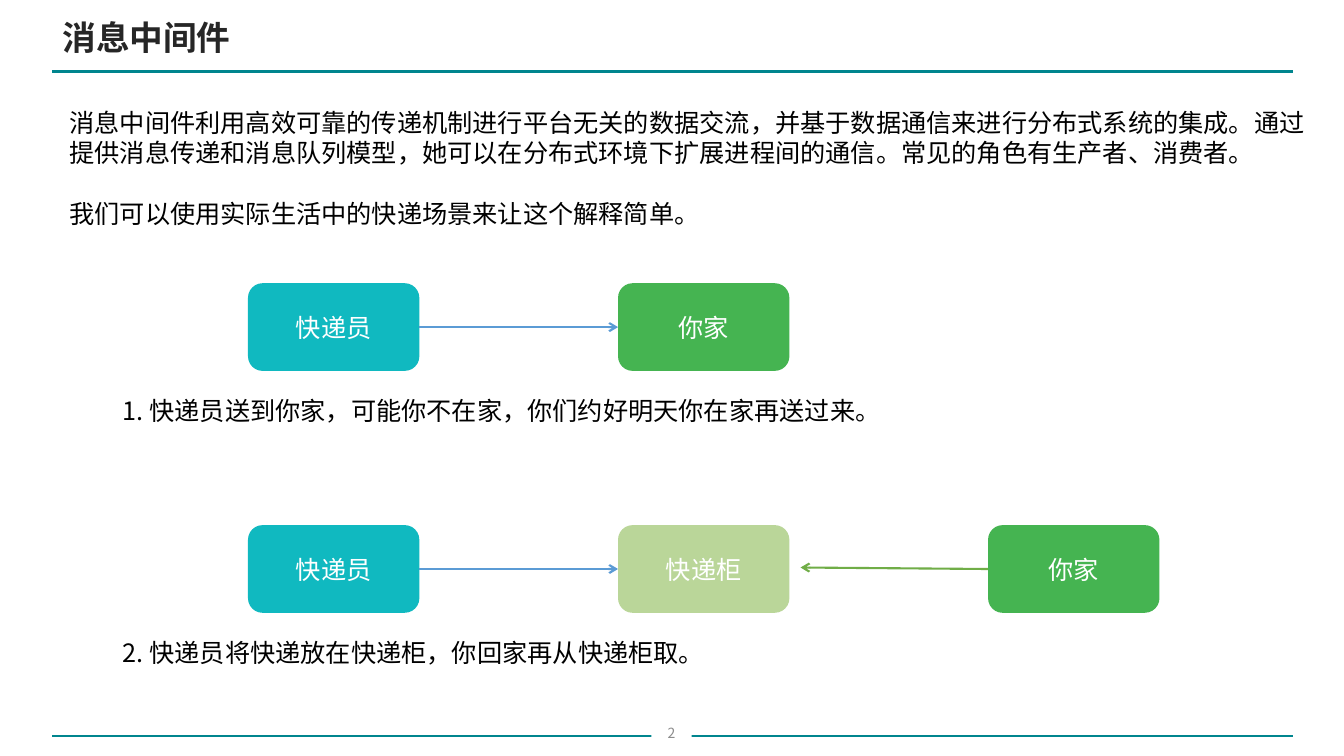
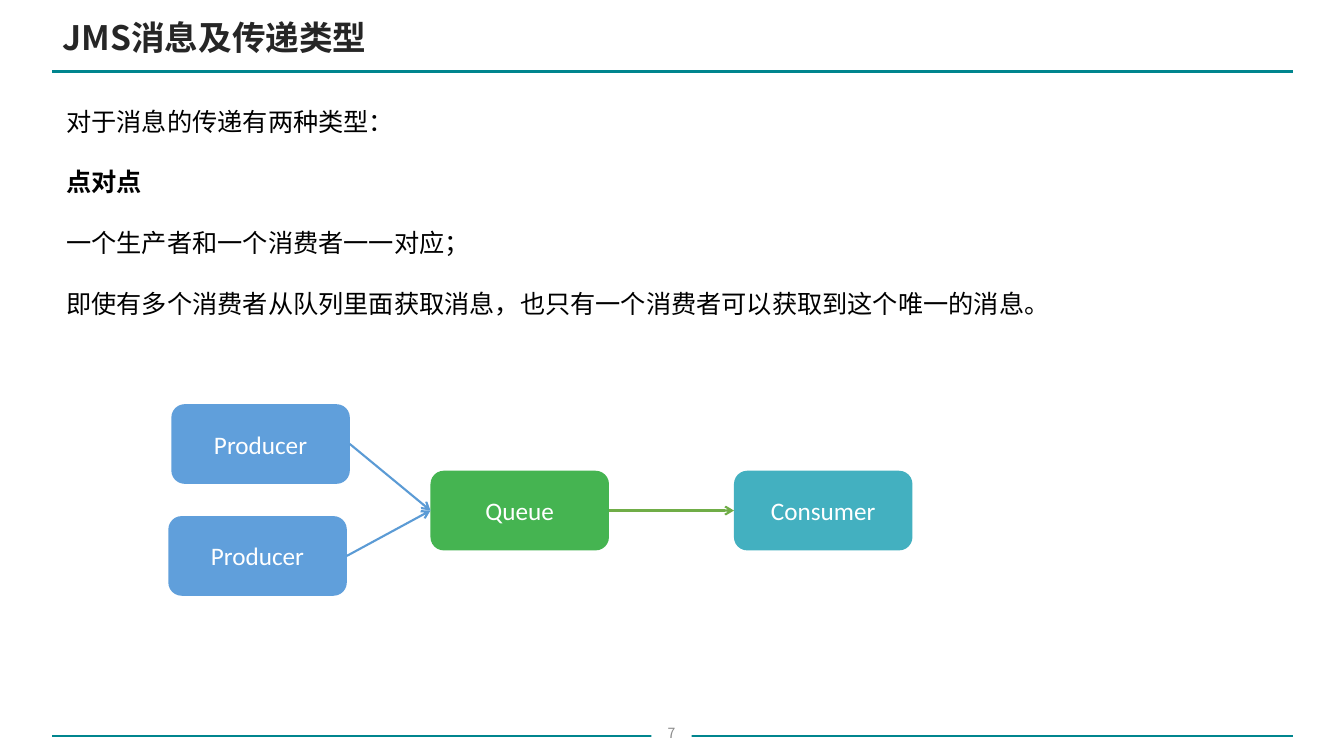
from pptx import Presentation
from pptx.dml.color import RGBColor
from pptx.enum.shapes import MSO_CONNECTOR, MSO_SHAPE
from pptx.enum.text import MSO_ANCHOR, MSO_AUTO_SIZE, PP_ALIGN
from pptx.oxml.ns import qn
from pptx.util import Inches, Pt
from lxml.etree import SubElement

CJK, LATIN = "Noto Sans CJK SC", "Calibri"
TEAL, CYAN, GREEN, LIME = "00858E", "10B9C0", "45B451", "BAD699"
SKY, AQUA = "609FDB", "43B0C0"
BLUE, LEAF = "5B9BD5", "70AD47"
WHITE, BLACK, DARK, GREY = "FFFFFF", "000000", "262626", "8C8C8C"
PITCH = Pt(21.7)
LEFT, RIGHT = 1, 3  # connection sites of a box


def rgb(code):
    return RGBColor.from_string(code)


class Deck:
    def __init__(self):
        self.prs = Presentation()
        self.prs.slide_width = Inches(13.33)
        self.prs.slide_height = Inches(7.5)
        self.layout = self.prs.slide_layouts.get_by_name("Title Only")
        self.slide = None

    def page(self, title, number):
        first = self.slide is None
        self.slide = self.prs.slides.add_slide(self.layout)
        if first:
            self.bands()
        head = self.slide.shapes.title
        self.place(head, 0.51, 0.11, 10.77, 0.51)
        frame = head.text_frame
        frame.text = title
        frame.auto_size = MSO_AUTO_SIZE.NONE
        frame.vertical_anchor = MSO_ANCHOR.MIDDLE
        frame.margin_left = frame.margin_right = Inches(0.11)
        self.style(frame, 24, DARK, CJK, PP_ALIGN.LEFT, True)
        self.box(6.46, 7.05, 0.4, 0.45, number, WHITE, GREY, 10, CJK,
                 MSO_SHAPE.RECTANGLE)

    def bands(self):
        """Draw the two rules and move them to the shared layout."""
        for y, width in ((0.71, 2), (7.3, 1)):
            rule = self.line((0.52, y), (12.82, y), TEAL, width)
            self.layout.shapes.element.append(rule.element)

    def place(self, shape, x, y, w, h):
        shape.left, shape.top = Inches(x), Inches(y)
        shape.width, shape.height = Inches(w), Inches(h)

    def style(self, frame, size, color, face, align, bold=False):
        for para in frame.paragraphs:
            para.alignment = align
            for run in para.runs:
                font = run.font
                font.size, font.bold, font.name = Pt(size), bold, face
                font.color.rgb = rgb(color)
                SubElement(font._element, qn("a:ea")).set("typeface", CJK)

    def text(self, x, y, w, h, *paras):
        """Add body text with one line of space between paragraphs."""
        shape = self.slide.shapes.add_textbox(
            Inches(x), Inches(y), Inches(w), Inches(h))
        frame = shape.text_frame
        frame.text = "\n".join(paras)
        frame.word_wrap = False
        frame.margin_top = Inches(0.07)
        for i, para in enumerate(frame.paragraphs):
            para.line_spacing = PITCH
            para.space_before = PITCH if i else Pt(0)
        self.style(frame, 18, BLACK, CJK, PP_ALIGN.LEFT)
        return frame

    def box(self, x, y, w, h, label, fill, color=WHITE, size=18, face=LATIN,
            kind=MSO_SHAPE.ROUNDED_RECTANGLE):
        shape = self.slide.shapes.add_shape(
            kind, Inches(x), Inches(y), Inches(w), Inches(h))
        shape.shadow.inherit = False
        shape.fill.solid()
        shape.fill.fore_color.rgb = rgb(fill)
        shape.line.fill.background()
        frame = shape.text_frame
        frame.text = label
        frame.vertical_anchor = MSO_ANCHOR.MIDDLE
        self.style(frame, size, color, face, PP_ALIGN.CENTER)
        return shape

    def line(self, start, end, color, width):
        points = [Inches(v) for v in (*start, *end)]
        line = self.slide.shapes.add_connector(MSO_CONNECTOR.STRAIGHT, *points)
        line.line.color.rgb = rgb(color)
        line.line.width = Pt(width)
        SubElement(line.element.spPr, qn("a:effectLst"))
        return line

    def arrow(self, source, site, target, color):
        """Point from a box to another box's left side or to a free point."""
        free = isinstance(target, tuple)
        line = self.line((0, 0), target if free else (0, 0), color, 1.5)
        line.begin_connect(source, site)
        if not free:
            line.end_connect(target, LEFT)
        SubElement(line.line._get_or_add_ln(), qn("a:tailEnd")).set("type", "arrow")


def courier(deck):
    deck.page("消息中间件", "2")
    deck.text(
        0.59, 0.99, 12.45, 1.31,
        "消息中间件利用高效可靠的传递机制进行平台无关的数据交流，并基于数据通信来进行分布式系统的集成。通过\v"
        "提供消息传递和消息队列模型，她可以在分布式环境下扩展进程间的通信。常见的角色有生产者、消费者。",
        "我们可以使用实际生活中的快递场景来让这个解释简单。")
    rows = (
        (2.81, [("快递员", CYAN), ("你家", GREEN)], 7.73,
         "1. 快递员送到你家，可能你不在家，你们约好明天你在家再送过来。"),
        (5.21, [("快递员", CYAN), ("快递柜", LIME), ("你家", GREEN)], 5.98,
         "2. 快递员将快递放在快递柜，你回家再从快递柜取。"),
    )
    for top, steps, width, note in rows:
        boxes = [deck.box(2.46 + 3.67 * i, top, 1.7, 0.87, *step)
                 for i, step in enumerate(steps)]
        deck.arrow(boxes[0], RIGHT, boxes[1], BLUE)
        deck.text(1.12, top + 1.04, width, 0.4, note)
    deck.arrow(boxes[2], LEFT, (7.94, 5.63), LEAF)


def queue(deck):
    deck.page("JMS消息及传递类型", "7")
    body = deck.text(
        0.56, 0.98, 9.95, 2.52,
        "对于消息的传递有两种类型：", "点对点", "一个生产者和一个消费者一一对应；",
        "即使有多个消费者从队列里面获取消息，也只有一个消费者可以获取到这个唯一的消息。")
    body.paragraphs[1].runs[0].font.bold = True
    nodes = ((1.7, 4.01, "Producer", SKY), (1.67, 5.12, "Producer", SKY),
             (4.27, 4.67, "Queue", GREEN), (7.28, 4.67, "Consumer", AQUA))
    upper, lower, middle, user = [
        deck.box(x, y, 1.77, 0.79, label, fill) for x, y, label, fill in nodes]
    for maker in (upper, lower):
        deck.arrow(maker, RIGHT, middle, BLUE)
    deck.arrow(middle, RIGHT, user, LEAF)


def main():
    deck = Deck()
    courier(deck)
    queue(deck)
    deck.prs.save("out.pptx")


if __name__ == "__main__":
    main()
